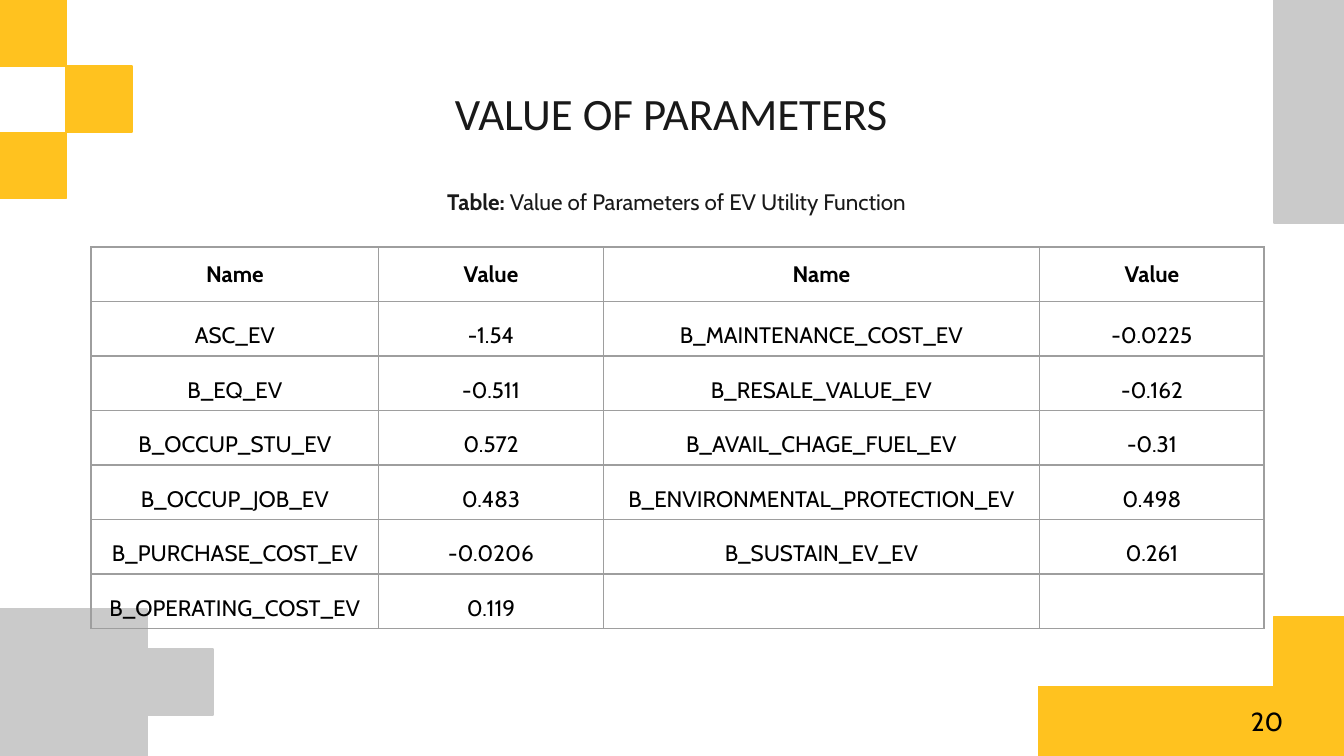
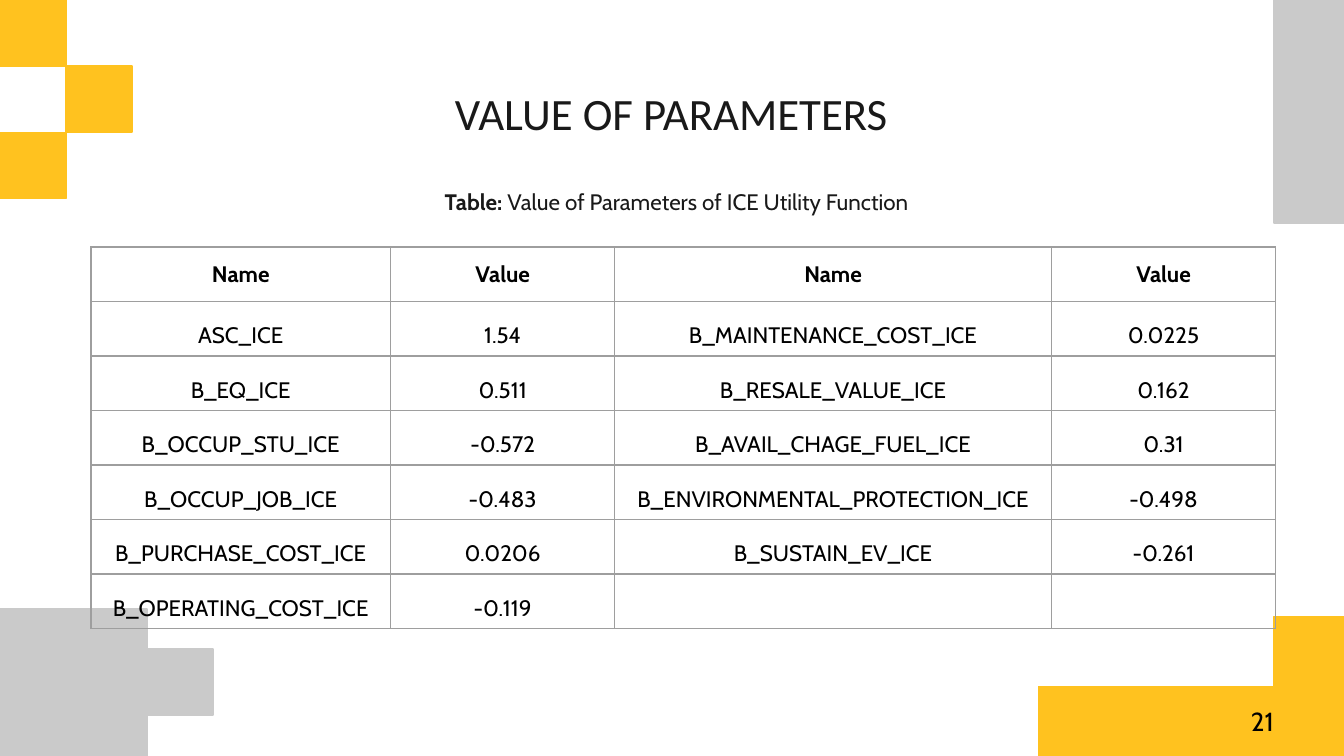
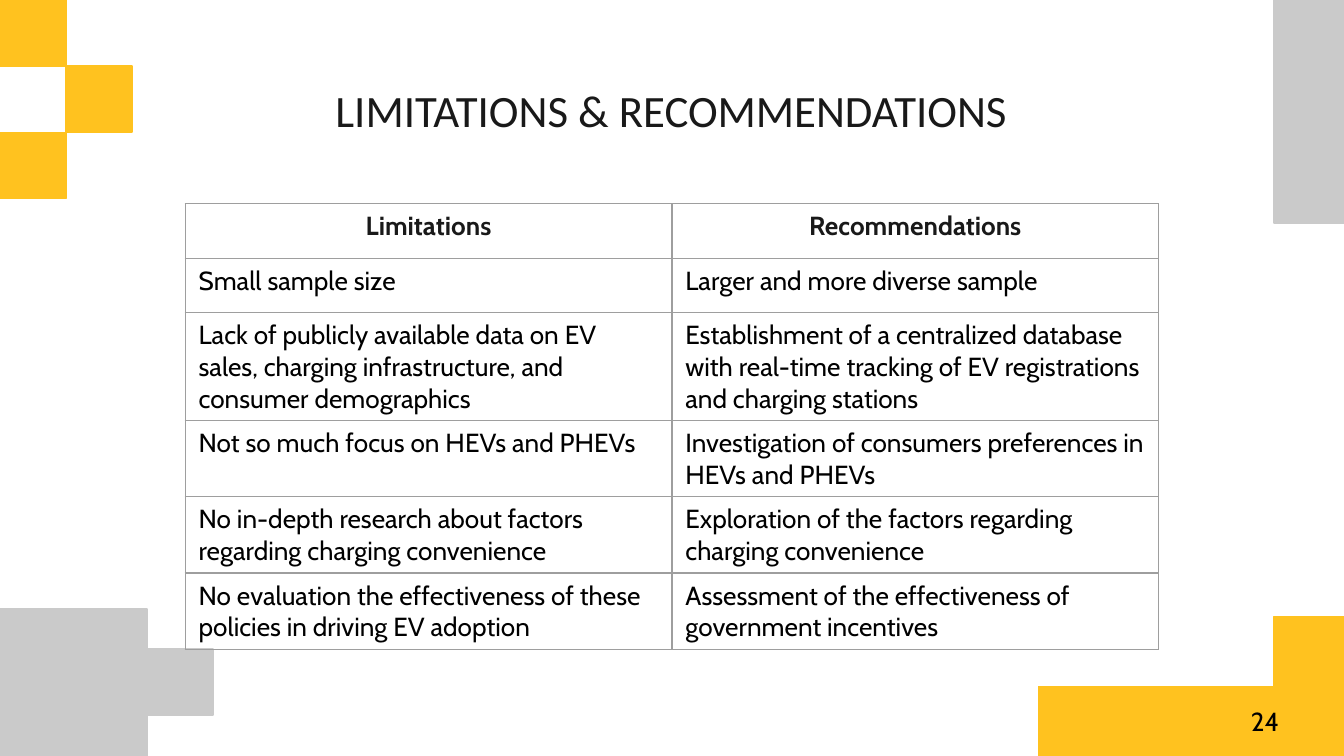
"""Build three slides on model parameters, limitations and recommendations."""
from lxml import etree
from pptx import Presentation
from pptx import util as u
from pptx.dml.color import RGBColor
from pptx.enum import shapes, text
from pptx.oxml.ns import qn

COLORS = {"yellow": "FFC21F", "gray": "CACACA", "ink": "191919",
          "black": "000000", "border": "9E9E9E"}
BODY, HEADING = "Cabin", "Calibri"
W, H = 25.4, 14.29
TILE, EDGE = 1.25, 1.32
ROW_H = 1.03
CENTER, LEFT = text.PP_ALIGN.CENTER, text.PP_ALIGN.LEFT

PARAMETERS = [
    ("ASC", -1.54, "B_MAINTENANCE_COST", -0.0225),
    ("B_EQ", -0.511, "B_RESALE_VALUE", -0.162),
    ("B_OCCUP_STU", 0.572, "B_AVAIL_CHAGE_FUEL", -0.31),
    ("B_OCCUP_JOB", 0.483, "B_ENVIRONMENTAL_PROTECTION", 0.498),
    ("B_PURCHASE_COST", -0.0206, "B_SUSTAIN_EV", 0.261),
    ("B_OPERATING_COST", 0.119),
]
FINDINGS = [
    ("Limitations", "Recommendations"),
    ("Small sample size", "Larger and more diverse sample"),
    ("Lack of publicly available data on EV sales, charging infrastructure, "
     "and consumer demographics",
     "Establishment of a centralized database with real-time tracking of EV "
     "registrations and charging stations"),
    ("Not so much focus on HEVs and PHEVs",
     "Investigation of consumers preferences in HEVs and PHEVs"),
    ("No in-depth research about factors regarding charging convenience",
     "Exploration of the factors regarding charging convenience"),
    ("No evaluation the effectiveness of these policies in driving EV adoption",
     "Assessment of the effectiveness of government incentives"),
]


def cm(*values):
    """Convert centimetre values to lengths."""
    return [u.Cm(v) for v in values]


def rgb(name):
    """Return a palette colour."""
    return RGBColor.from_string(COLORS[name])


def style(p, size, color="black", bold=None, align=LEFT, font=BODY):
    """Set the font and alignment of a paragraph."""
    p.alignment = align
    p.font.size, p.font.name, p.font.bold = u.Pt(size), font, bold
    p.font.color.rgb = rgb(color)


def add_text(s, box, parts, size, **look):
    """Add a one-paragraph text box from (text, bold) parts."""
    tf = s.shapes.add_textbox(*cm(*box)).text_frame
    tf.word_wrap = True
    p = tf.paragraphs[0]
    style(p, size, **look)
    for words, bold in parts:
        r = p.add_run()
        r.text, r.font.bold = words, bold
    return tf


def add_blocks(s, w, h):
    """Place the corner blocks around a frame of the given size."""
    base = 2.78
    bar_w, bar_h = 5.77, 1.31
    blocks = [
        ("gray", 0, h - base, base, base),
        ("gray", base, 12.27, TILE, TILE),
        ("yellow", w - bar_w, h - bar_h, bar_w, bar_h),
        ("yellow", w - EDGE, h - bar_h - EDGE, EDGE, EDGE),
        *(("yellow", col * TILE, row * TILE, TILE, TILE)
          for row, col in enumerate((0, 1, 0))),
        ("gray", w - EDGE, 0, EDGE, 4.22),
    ]
    group = s.shapes.add_group_shape()
    for color, *box in blocks:
        sp = group.shapes.add_shape(shapes.MSO_SHAPE.RECTANGLE, *cm(*box))
        sp.shadow.inherit = False
        sp.fill.solid()
        sp.fill.fore_color.rgb = sp.line.color.rgb = rgb(color)
        sp.line.width = u.Pt(0.75)


def add_frame(prs, title, number, title_y):
    """Add a slide with its blocks, title and page number."""
    s = prs.slides.add_slide(prs.slide_layouts[6])
    add_blocks(s, W, H)
    tf = add_text(s, (1.98, title_y, 21.41, 1.6), [(title, None)], 24,
                  color="ink", align=CENTER, font=HEADING)
    tf.margin_top = tf.margin_bottom = u.Cm(0.25)
    add_text(s, (23.39, 13.21, 2.46, 0.86), [(str(number), None)], 14)
    return s


def outline(cell):
    """Draw thin borders around an unfilled cell."""
    tc_pr = cell._tc.get_or_add_tcPr()
    for side in "LRTB":
        ln = etree.SubElement(tc_pr, qn(f"a:ln{side}"), w=str(u.Pt(0.75)))
        fill = etree.SubElement(ln, qn("a:solidFill"))
        etree.SubElement(fill, qn("a:srgbClr"), val=COLORS["border"])
    cell.fill.background()


def add_grid(s, x, y, widths, heights, rows, write):
    """Add an outlined table whose cells are set by write."""
    box = cm(x, y, sum(widths), sum(heights))
    table = s.shapes.add_table(len(rows), len(widths), *box).table
    table.first_row = table.horz_banding = False
    for col, width in zip(table.columns, widths):
        col.width = u.Cm(width)
    for i, (row, height) in enumerate(zip(table.rows, heights)):
        row.height = u.Cm(height)
        for cell, words in zip(row.cells, rows[i]):
            outline(cell)
            cell.text = words
            write(cell, i == 0)


def write_parameter(cell, header):
    """Format a cell of a parameter table."""
    p = cell.text_frame.paragraphs[0]
    style(p, 12, bold=header, align=CENTER)
    cell.vertical_anchor = text.MSO_ANCHOR.MIDDLE
    if not header:
        p.line_spacing, p.space_after = 1.5, u.Pt(10)
        cell.margin_left = cell.margin_right = u.Cm(0.18)
        cell.margin_top = cell.margin_bottom = 0


def write_finding(cell, header):
    """Format a cell of the findings table."""
    style(cell.text_frame.paragraphs[0], 14, "ink" if header else "black",
          header, CENTER if header else LEFT)


def parameters_slide(prs, number, mode, sign, name_w):
    """Add the parameter table of one utility function."""
    s = add_frame(prs, "VALUE OF PARAMETERS", number, 1.38)
    rows = [("Name", "Value") * 2]
    for entry in PARAMETERS:
        cells = [f"{v}_{mode}" if isinstance(v, str) else f"{sign * v:g}"
                 for v in entry]
        rows.append(cells + [""] * (4 - len(cells)))
    add_grid(s, 1.72, 4.67, (name_w, 4.24, 8.25, 4.24), [ROW_H] * len(rows),
             rows, write_parameter)
    add_text(s, (4.32, 3.43, 16.94, 0.76),
             [("Table: ", True),
              (f"Value of Parameters of {mode} Utility Function", False)],
             12, color="ink", align=CENTER)


def findings_slide(prs, number):
    """Add the table of limitations and recommendations."""
    s = add_frame(prs, "LIMITATIONS & RECOMMENDATIONS", number, 1.31)
    heights = (ROW_H, ROW_H, 2.04, 1.44, 1.44, 1.44)
    add_grid(s, 3.5, 3.85, (9.2, 9.2), heights, FINDINGS, write_finding)


def main():
    """Build and save the presentation."""
    prs = Presentation()
    prs.slide_width, prs.slide_height = cm(W, H)
    parameters_slide(prs, 20, "EV", 1, 5.44)
    parameters_slide(prs, 21, "ICE", -1, 5.66)
    findings_slide(prs, 24)
    prs.save("out.pptx")


if __name__ == "__main__":
    main()
